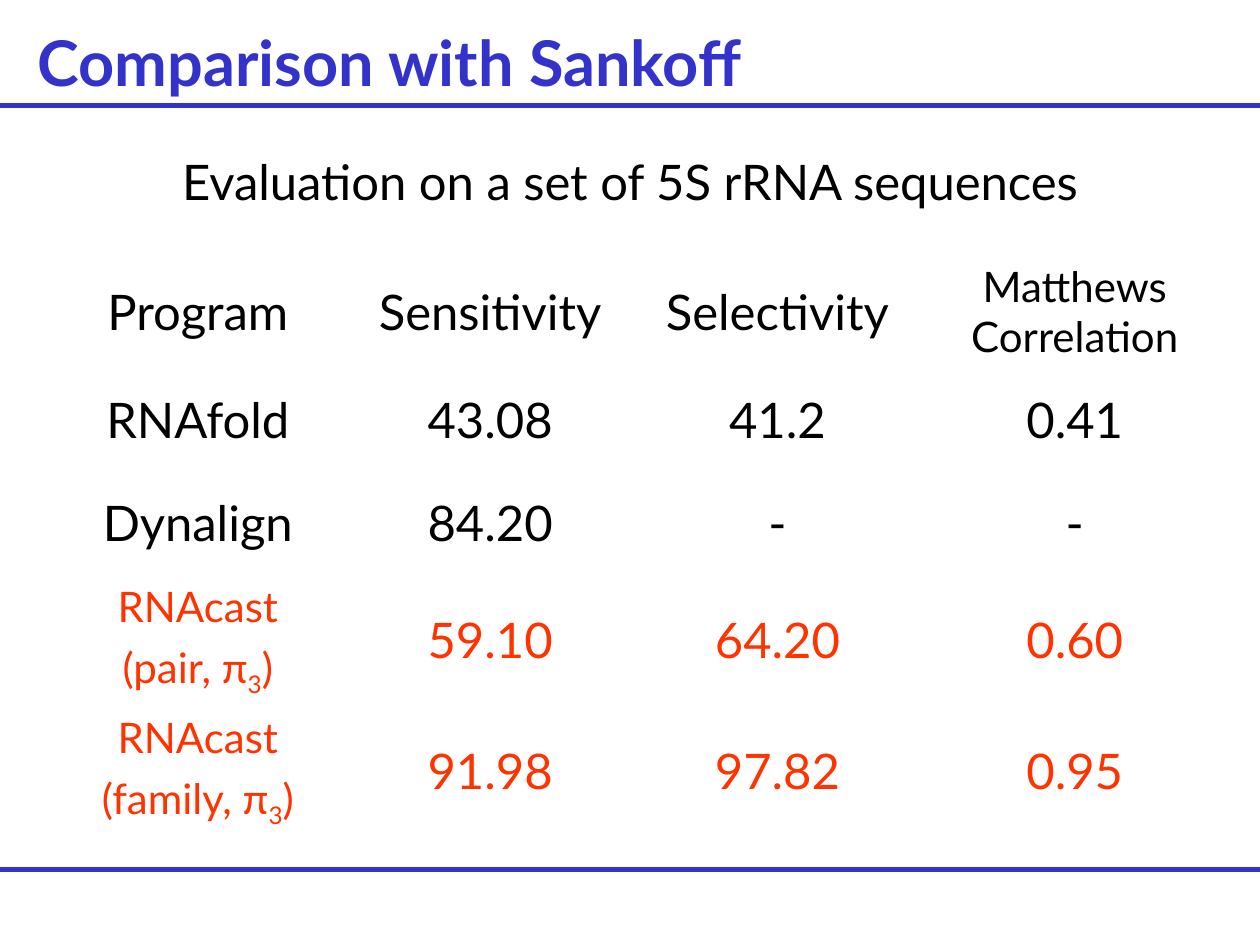
import pptx
import pptx.dml.color
import pptx.enum.shapes
import pptx.enum.text
import pptx.oxml
import pptx.oxml.ns
import pptx.util

Inches = pptx.util.Inches
Pt = pptx.util.Pt
ALIGN = pptx.enum.text.PP_ALIGN
ANCHOR = pptx.enum.text.MSO_ANCHOR

FONT = "Lato"
BLUE, BLACK, RED = "3333CC", "000000", "FF3300"

COL_WIDTHS = [2.44, 2.2, 2.36, 2.36]
ROW_HEIGHTS = [0.9, 0.82, 0.82, 1.04, 1.04]
# Text between underscores is set as a subscript.
ROWS = [
    ["Program", "Sensitivity", "Selectivity", "Matthews Correlation"],
    ["RNAfold", "43.08", "41.2", "0.41"],
    ["Dynalign", "84.20", "-", "-"],
    ["RNAcast\n(pair, π_3_)", "59.10", "64.20", "0.60"],
    ["RNAcast\n(family, π_3_)", "91.98", "97.82", "0.95"],
]


def rgb(value):
    return pptx.dml.color.RGBColor.from_string(value)


def write(tf, text, size=28, color=BLACK, bold=False, align=ALIGN.CENTER, gap=0):
    """Fill a text frame, one paragraph a line."""
    for i, line in enumerate(text.split("\n")):
        p = tf.add_paragraph() if i else tf.paragraphs[0]
        p.alignment = align
        p.space_before = Pt(gap if i else 0)
        for j, part in enumerate(line.split("_")):
            r = p.add_run()
            r.text = part
            r.font.name = FONT
            r.font.size = Pt(size)
            r.font.bold = bold
            r.font.color.rgb = rgb(color)
            if j % 2:
                r.font._element.set("baseline", "-25000")


def add_rule(slide, y):
    """Draw a line across the whole slide."""
    c = slide.shapes.add_connector(pptx.enum.shapes.MSO_CONNECTOR.STRAIGHT,
                                   0, Inches(y), Inches(10), Inches(y))
    c.line.color.rgb = rgb(BLUE)
    c.line.width = Pt(3)
    c._element.spPr.append(pptx.oxml.parse_xml(
        "<a:effectLst %s/>" % pptx.oxml.ns.nsdecls("a")))


def add_title(slide, text):
    sp = slide.shapes.title
    sp.left, sp.top = Inches(0.2), Inches(0.03)
    sp.width, sp.height = Inches(7.56), Inches(0.92)
    tf = sp.text_frame
    tf.auto_size = pptx.enum.text.MSO_AUTO_SIZE.NONE
    tf.vertical_anchor = ANCHOR.MIDDLE
    write(tf, text, size=36, color=BLUE, bold=True, align=ALIGN.LEFT)


def add_results(slide):
    table = slide.shapes.add_table(
        len(ROWS), len(COL_WIDTHS), Inches(0.35), Inches(2.02),
        Inches(sum(COL_WIDTHS)), Inches(sum(ROW_HEIGHTS))).table
    table.first_row = table.horz_banding = False
    for col, width in zip(table.columns, COL_WIDTHS):
        col.width = Inches(width)
    for i, (row, height) in enumerate(zip(ROWS, ROW_HEIGHTS)):
        table.rows[i].height = Inches(height)
        color = RED if row[0].startswith("RNAcast") else BLACK
        for j, text in enumerate(row):
            cell = table.cell(i, j)
            cell.fill.background()
            cell.vertical_anchor = ANCHOR.MIDDLE
            two_lines = "\n" in text or " " in text
            write(cell.text_frame, text, size=24 if two_lines else 28,
                  color=color, gap=6)


def add_subtitle(slide, text):
    sp = slide.shapes.add_textbox(0, Inches(1.15), Inches(10), Inches(0.57))
    sp.text_frame.word_wrap = True
    write(sp.text_frame, text)


def main():
    prs = pptx.Presentation()
    prs.slide_width, prs.slide_height = Inches(10), Inches(7.5)
    slide = prs.slides.add_slide(prs.slide_layouts[5])

    # Header and footer rules
    for y in (0.84, 6.9):
        add_rule(slide, y)

    # Content
    add_title(slide, "Comparison with Sankoff")
    add_results(slide)
    add_subtitle(slide, "Evaluation on a set of 5S rRNA sequences")

    prs.save("out.pptx")


if __name__ == "__main__":
    main()
